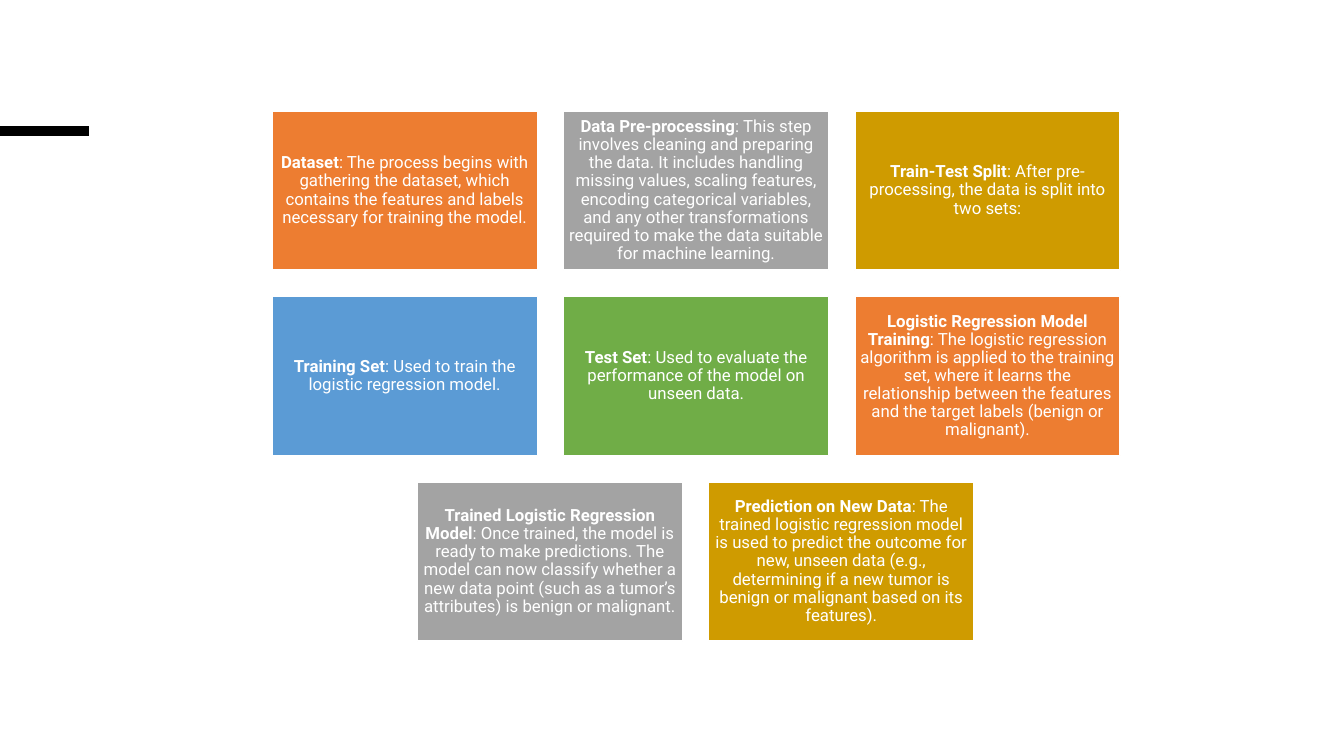
from lxml import etree
from pptx import Presentation
from pptx.dml.color import RGBColor
from pptx.enum.shapes import MSO_CONNECTOR, MSO_SHAPE
from pptx.enum.text import MSO_ANCHOR, PP_ALIGN
from pptx.oxml.ns import qn
from pptx.util import Emu, Pt

RECTANGLE = MSO_SHAPE.RECTANGLE
STRAIGHT = MSO_CONNECTOR.STRAIGHT
MIDDLE = MSO_ANCHOR.MIDDLE
CENTER = PP_ALIGN.CENTER

BLACK = RGBColor(0x00, 0x00, 0x00)
WHITE = RGBColor(0xFF, 0xFF, 0xFF)
ORANGE = RGBColor(0xED, 0x7D, 0x31)
GRAY = RGBColor(0xA3, 0xA3, 0xA3)
GOLD = RGBColor(0xCF, 0x9B, 0x00)
BLUE = RGBColor(0x5B, 0x9B, 0xD5)
GREEN = RGBColor(0x70, 0xAD, 0x47)

EMU_PER_PX = 9144
SLIDE_WIDTH, SLIDE_HEIGHT = 1333, 750
GRID_LEFT, GRID_TOP = 270, 110
CARD_WIDTH, CARD_HEIGHT = 263, 158
GAP = 26
COLUMNS = 3

STEPS = [
    (ORANGE, "Dataset",
     "The process begins with gathering the dataset, which contains the "
     "features and labels necessary for training the model."),
    (GRAY, "Data Pre-processing",
     "This step involves cleaning and preparing the data. It includes "
     "handling missing values, scaling features, encoding categorical "
     "variables, and any other transformations required to make the data "
     "suitable for machine learning."),
    (GOLD, "Train-Test Split",
     "After pre-processing, the data is split into two sets:"),
    (BLUE, "Training Set",
     "Used to train the logistic regression model."),
    (GREEN, "Test Set",
     "Used to evaluate the performance of the model on unseen data."),
    (ORANGE, "Logistic Regression Model Training",
     "The logistic regression algorithm is applied to the training set, "
     "where it learns the relationship between the features and the target "
     "labels (benign or malignant)."),
    (GRAY, "Trained Logistic Regression Model",
     "Once trained, the model is ready to make predictions. The model can "
     "now classify whether a new data point (such as a tumor’s attributes) "
     "is benign or malignant."),
    (GOLD, "Prediction on New Data",
     "The trained logistic regression model is used to predict the outcome "
     "for new, unseen data (e.g., determining if a new tumor is benign or "
     "malignant based on its features)."),
]


def px(length):
    return Emu(length * EMU_PER_PX)


class SlideBuilder:
    font_name = "Roboto"
    font_size = Pt(12)
    inset = px(5)

    def __init__(self, page):
        self.page = page

    def line(self, x1, y1, x2, y2, color, weight):
        rule = self.page.shapes.add_connector(
            STRAIGHT, px(x1), px(y1), px(x2), px(y2))
        rule.line.color.rgb = color
        rule.line.width = Pt(weight)
        etree.SubElement(rule._element.spPr, qn("a:effectLst"))

    def card(self, left, top, fill, title, description):
        box = self.page.shapes.add_shape(
            RECTANGLE, px(left), px(top), px(CARD_WIDTH), px(CARD_HEIGHT))
        box.shadow.inherit = False
        box.fill.solid()
        box.fill.fore_color.rgb = fill
        box.line.color.rgb = WHITE
        box.line.width = Pt(1)

        frame = box.text_frame
        frame.word_wrap = True
        frame.vertical_anchor = MIDDLE
        frame.margin_left = frame.margin_right = self.inset
        frame.margin_top = frame.margin_bottom = self.inset

        para = frame.paragraphs[0]
        para.alignment = CENTER
        para.line_spacing = 0.9
        para.font.name = self.font_name
        para.font.size = self.font_size
        para.font.color.rgb = WHITE
        for text, bold in ((title, True), (f": {description}", False)):
            span = para.add_run()
            span.text = text
            span.font.bold = bold


def main():
    deck = Presentation()
    deck.slide_width = px(SLIDE_WIDTH)
    deck.slide_height = px(SLIDE_HEIGHT)
    builder = SlideBuilder(deck.slides.add_slide(deck.slide_layouts[6]))

    builder.line(0, 130, 88, 130, BLACK, 6.75)
    for start in range(0, len(STEPS), COLUMNS):
        row = STEPS[start:start + COLUMNS]
        top = GRID_TOP + start // COLUMNS * (CARD_HEIGHT + GAP)
        indent = (COLUMNS - len(row)) * (CARD_WIDTH + GAP) // 2
        for column, step in enumerate(row):
            left = GRID_LEFT + indent + column * (CARD_WIDTH + GAP)
            builder.card(left, top, *step)

    deck.save("out.pptx")


if __name__ == "__main__":
    main()
